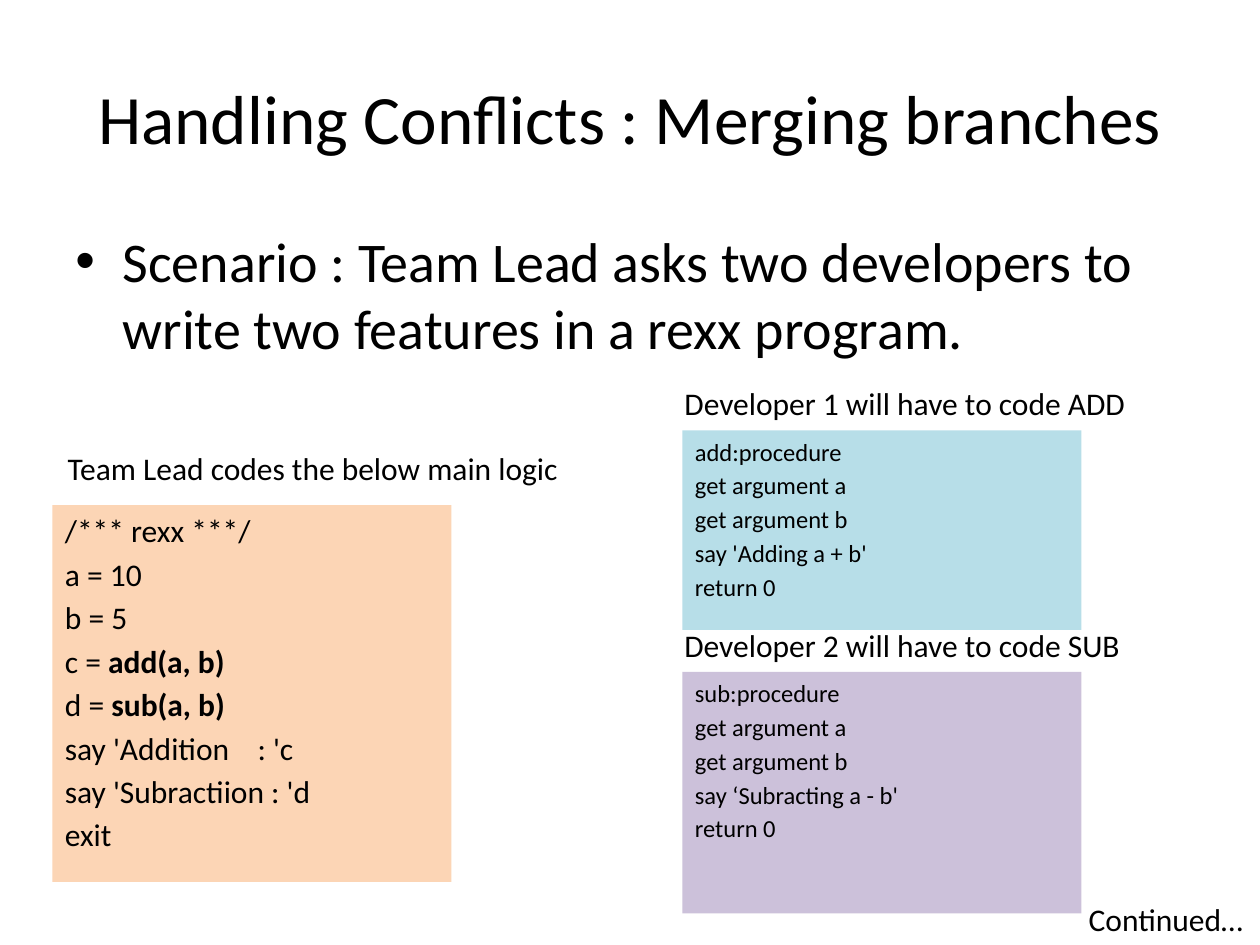
import pptx
import pptx.dml.color
import pptx.enum.shapes
import pptx.enum.text
import pptx.oxml.ns
import pptx.util
from lxml import etree

Pt = pptx.util.Pt
COLORS = {
    "text": "000000",
    "main": "FCD5B5",
    "add": "B7DEE8",
    "sub": "CCC1DA",
}
MAIN_CODE = [
    "/*** rexx ***/",
    "a = 10",
    "b = 5",
    ("c = ", "add(a, b)"),
    ("d = ", "sub(a, b)"),
    "say 'Addition    : 'c",
    "say 'Subractiion : 'd",
    "exit",
]


def procedure_code(name, message):
    return [f"{name}:procedure", "get argument a", "get argument b", message, "return 0"]


class SlideBuilder:
    font_name = "Calibri"
    label_size = 18
    spacing_ratio = 0.18

    def __init__(self, slide):
        self.slide = slide

    def color(self, name):
        return pptx.dml.color.RGBColor.from_string(COLORS[name])

    def style(self, paragraph, size, spaced=False):
        paragraph.font.name = self.font_name
        paragraph.font.size = Pt(size)
        paragraph.font.color.rgb = self.color("text")
        if spaced:
            paragraph.space_before = Pt(round(size * self.spacing_ratio, 2))

    def text_box(self, text, left, top, width, height, size, wrap=True, spaced=False):
        shape = self.slide.shapes.add_textbox(Pt(left), Pt(top), Pt(width), Pt(height))
        shape.text_frame.word_wrap = wrap
        paragraph = shape.text_frame.paragraphs[0]
        paragraph.text = text
        self.style(paragraph, size, spaced)
        return shape.text_frame

    def title(self, text, left, top, width, height):
        frame = self.text_box(text, left, top, width, height, 39.6)
        frame.vertical_anchor = pptx.enum.text.MSO_ANCHOR.MIDDLE
        frame.paragraphs[0].alignment = pptx.enum.text.PP_ALIGN.CENTER

    def bullet(self, text, left, top, width, height, indent=27):
        frame = self.text_box(text, left, top, width, height, 32, spaced=True)
        properties = frame.paragraphs[0]._p.get_or_add_pPr()
        properties.set("marL", str(Pt(indent)))
        properties.set("indent", str(-Pt(indent)))
        font = etree.SubElement(properties, pptx.oxml.ns.qn("a:buFont"), typeface="Arial")
        font.addnext(etree.Element(pptx.oxml.ns.qn("a:buChar"), char="•"))
        # The schema wants the default run properties after the bullet.
        properties.append(properties.find(pptx.oxml.ns.qn("a:defRPr")))

    def label(self, text, left, top, width):
        frame = self.text_box(text, left, top, width, 29, self.label_size, wrap=False)
        frame.auto_size = pptx.enum.text.MSO_AUTO_SIZE.SHAPE_TO_FIT_TEXT

    def code_box(self, lines, fill, left, top, height, size, width=228):
        """Draw a filled box of code; in a (plain, bold) line the second part is bold."""
        shape = self.slide.shapes.add_shape(
            pptx.enum.shapes.MSO_SHAPE.RECTANGLE, Pt(left), Pt(top), Pt(width), Pt(height)
        )
        shape.shadow.inherit = False
        shape.fill.solid()
        shape.fill.fore_color.rgb = self.color(fill)
        shape.line.fill.background()
        frame = shape.text_frame
        frame.word_wrap = True
        frame.vertical_anchor = pptx.enum.text.MSO_ANCHOR.TOP
        for index, line in enumerate(lines):
            paragraph = frame.add_paragraph() if index else frame.paragraphs[0]
            paragraph.alignment = pptx.enum.text.PP_ALIGN.LEFT
            self.style(paragraph, size, spaced=True)
            plain, bold = (line, "") if isinstance(line, str) else line
            paragraph.add_run().text = plain
            if bold:
                run = paragraph.add_run()
                run.text = bold
                run.font.bold = True


def main():
    presentation = pptx.Presentation()
    presentation.slide_width = Pt(720)
    presentation.slide_height = Pt(540)
    builder = SlideBuilder(presentation.slides.add_slide(presentation.slide_layouts[6]))

    builder.title("Handling Conflicts : Merging branches", 36, 21.6, 648, 90)
    builder.bullet(
        "Scenario : Team Lead asks two developers to write two features in a rexx program.",
        36, 126, 648, 108,
    )
    builder.code_box(MAIN_CODE, "main", 30, 288.6, 215.4, 18)
    builder.label("Team Lead codes the below main logic", 31.6, 253, 298)
    builder.label("Developer 1 will have to code ADD", 384, 216, 270)
    builder.label("Developer 2 will have to code SUB", 384, 354, 266.5)
    builder.code_box(procedure_code("add", "say 'Adding a + b'"), "add", 390, 246, 114, 14)
    builder.code_box(procedure_code("sub", "say ‘Subracting a - b'"), "sub", 390, 384, 138, 14)
    builder.label("Continued…", 615, 511, 103.5)

    presentation.save("out.pptx")


if __name__ == "__main__":
    main()
